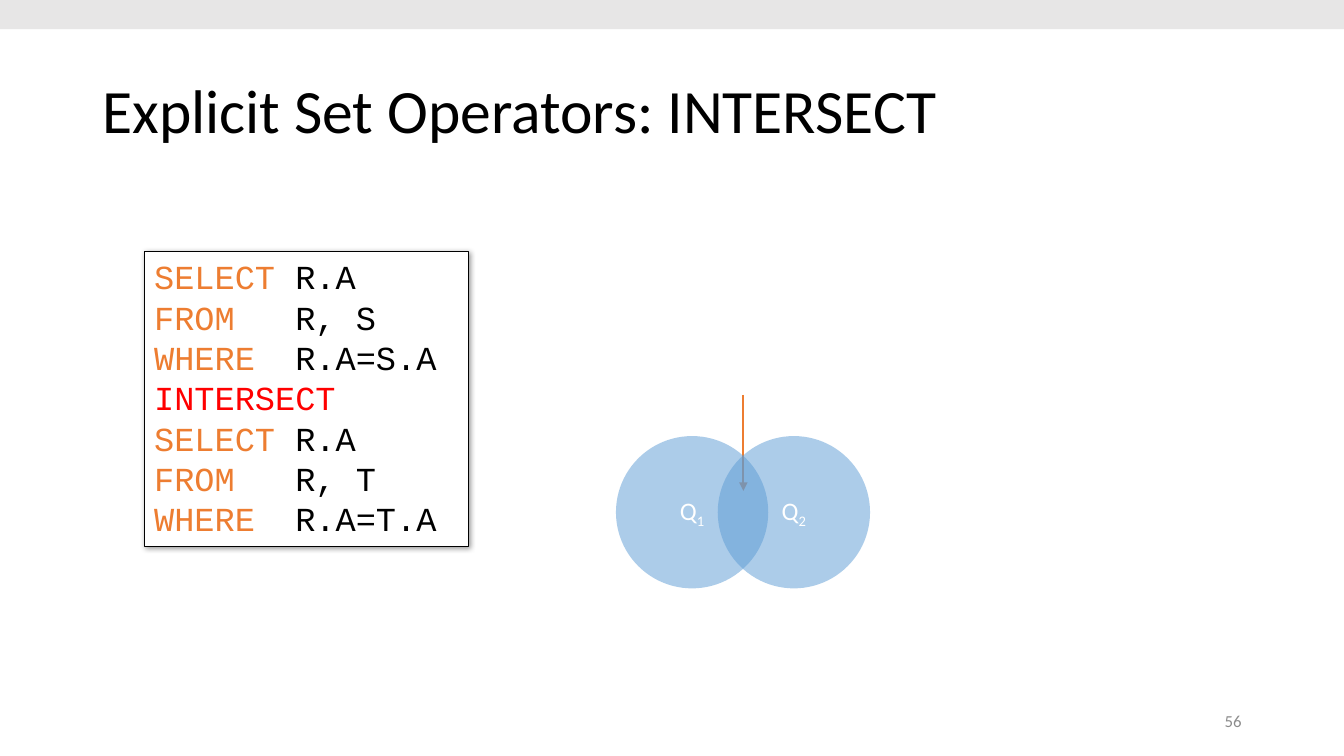
from lxml import etree
from pptx import Presentation
from pptx.dml.color import RGBColor
from pptx.enum import shapes, text
from pptx.oxml import ns
from pptx.util import Pt


def color(value):
    return RGBColor.from_string(value)


def add_xml(parent, tag, **attributes):
    return etree.SubElement(parent, ns.qn(tag), attributes)


deck = Presentation()
deck.slide_width, deck.slide_height = Pt(960), Pt(540)
page = deck.slides.add_slide(deck.slide_layouts[5])

title = page.shapes.title
title.left, title.top, title.width, title.height = Pt(66), Pt(28.8), Pt(828), Pt(104.4)
title.text_frame.text = "Explicit Set Operators: INTERSECT"
title.text_frame.vertical_anchor = text.MSO_ANCHOR.MIDDLE
para = title.text_frame.paragraphs[0]
para.alignment = text.PP_ALIGN.LEFT
para.line_spacing = 0.9
para.font.name = "Calibri"
para.font.size = Pt(44)
para.font.color.rgb = color("000000")

number = page.shapes.add_textbox(Pt(678), Pt(500.5), Pt(216), Pt(28.75))
number.text_frame.word_wrap = True
number.text_frame.vertical_anchor = text.MSO_ANCHOR.MIDDLE
para = number.text_frame.paragraphs[0]
para.text = "56"
para.alignment = text.PP_ALIGN.RIGHT
para.font.name = "Calibri"
para.font.size = Pt(12)
para.font.color.rgb = color("8C8C8C")

query = page.shapes.add_shape(shapes.MSO_SHAPE.RECTANGLE, Pt(103), Pt(179.6), Pt(231.8), Pt(211))
query.fill.solid()
query.fill.fore_color.rgb = color("FFFFFF")
query.line.color.rgb = color("000000")
query.line.width = Pt(0.75)
query.shadow.inherit = False
effects = query.element.spPr.find(ns.qn("a:effectLst"))
shadow = add_xml(effects, "a:outerShdw", blurRad=str(Pt(4)), dist=str(Pt(1)),
                 dir="2700000", algn="tl", rotWithShape="0")
shade = add_xml(shadow, "a:srgbClr", val="000000")
add_xml(shade, "a:alpha", val="40000")

query.text_frame.vertical_anchor = text.MSO_ANCHOR.TOP
query.text_frame.auto_size = text.MSO_AUTO_SIZE.SHAPE_TO_FIT_TEXT
code = [
    ("SELECT", " R.A"),
    ("FROM", "   R, S"),
    ("WHERE", "  R.A=S.A"),
    ("INTERSECT", ""),
    ("SELECT", " R.A"),
    ("FROM", "   R, T"),
    ("WHERE", "  R.A=T.A"),
]
for index, (keyword, rest) in enumerate(code):
    para = query.text_frame.paragraphs[0] if index == 0 else query.text_frame.add_paragraph()
    para.alignment = text.PP_ALIGN.LEFT
    para.font.name = "Courier New"
    para.font.size = Pt(24)
    keyword_color = "FF0000" if keyword == "INTERSECT" else "ED7D31"
    for words, shade in ((keyword, keyword_color), (rest, "000000")):
        if words:
            span = para.add_run()
            span.text = words
            span.font.color.rgb = color(shade)

arrow = page.shapes.add_connector(shapes.MSO_CONNECTOR.STRAIGHT, Pt(531), Pt(282), Pt(531), Pt(350.6))
arrow.line.color.rgb = color("ED7D31")
arrow.line.width = Pt(1.5)
add_xml(arrow.line._get_or_add_ln(), "a:tailEnd", type="triangle")
add_xml(arrow.element.spPr, "a:effectLst")

venn = page.shapes.add_group_shape()
for subscript, left in (("1", 440), ("2", 512.7)):
    circle = venn.shapes.add_shape(shapes.MSO_SHAPE.OVAL, Pt(left), Pt(311.5), Pt(108.8), Pt(108.8))
    circle.fill.solid()
    circle.fill.fore_color.rgb = color("5B9BD5")
    fill_color = circle.element.spPr.find(ns.qn("a:solidFill"))[0]
    add_xml(fill_color, "a:alpha", val="50000")
    circle.line.fill.background()
    circle.shadow.inherit = False
    circle.text_frame.vertical_anchor = text.MSO_ANCHOR.MIDDLE
    para = circle.text_frame.paragraphs[0]
    para.alignment = text.PP_ALIGN.CENTER
    para.font.name = "Calibri"
    para.font.size = Pt(18)
    para.font.color.rgb = color("FFFFFF")
    para.add_run().text = "Q"
    span = para.add_run()
    span.text = subscript
    span.font._element.set("baseline", "-25000")

band = page.shapes.add_shape(shapes.MSO_SHAPE.RECTANGLE, 0, 0, deck.slide_width, Pt(20.8))
band.fill.solid()
band.fill.fore_color.rgb = color("E7E6E6")
band.line.fill.background()
band.shadow.inherit = False

deck.save("out.pptx")
